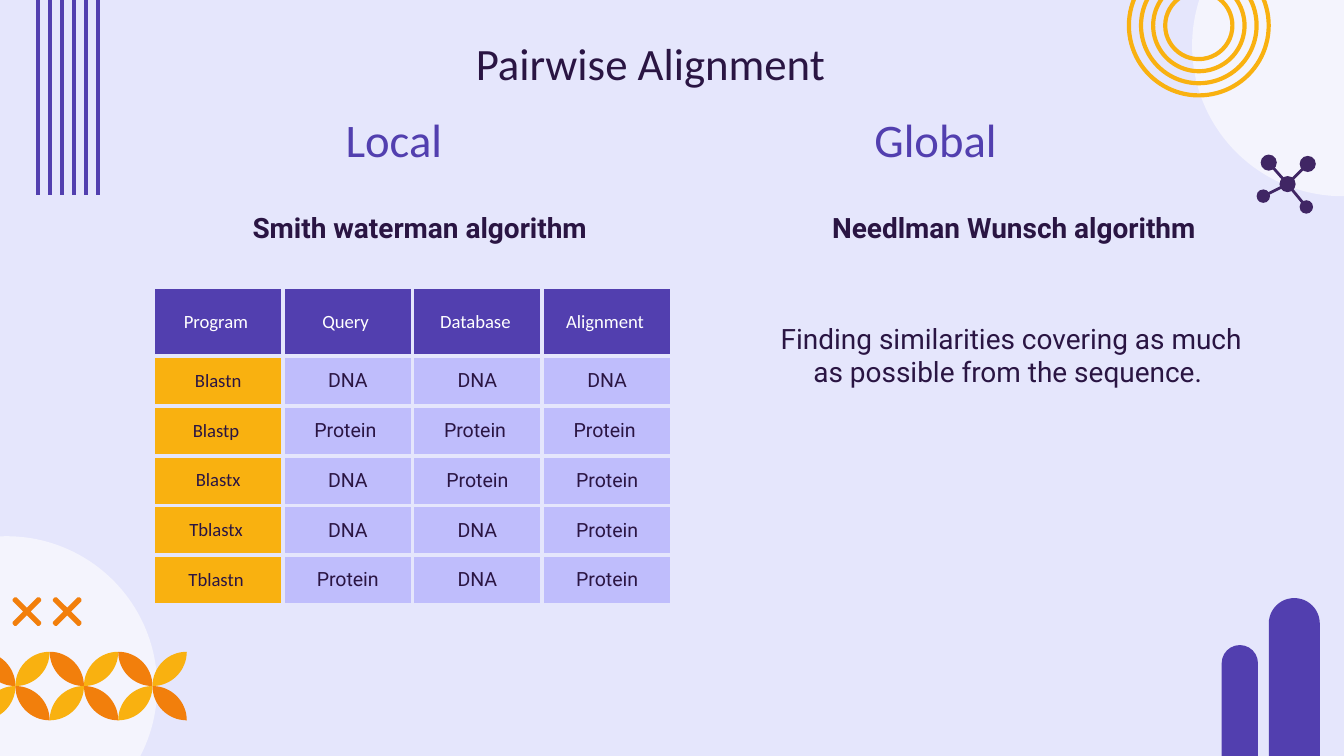
import math
from dataclasses import dataclass

import lxml.etree
import pptx
import pptx.dml.color
import pptx.enum.shapes
import pptx.enum.text
import pptx.oxml.ns
import pptx.util

Inches = pptx.util.Inches
Pt = pptx.util.Pt
Kind = pptx.enum.shapes.MSO_SHAPE
Align = pptx.enum.text.PP_ALIGN
qn = pptx.oxml.ns.qn


@dataclass(frozen=True)
class Theme:
    back: str = "E5E6FC"
    pale: str = "F4F4FD"
    violet: str = "523FAF"
    lilac: str = "BFBDFC"
    gold: str = "F9B110"
    orange: str = "F27F0C"
    plum: str = "402664"
    ink: str = "2A1543"
    white: str = "FFFFFF"
    head_font: str = "Calibri"
    text_font: str = "Roboto"
    title: float = 24
    label: float = 25
    body: float = 15
    cell: float = 10.5
    head: float = 10
    stroke: float = 2.25


def color(code):
    return pptx.dml.color.RGBColor.from_string(code)


class Page:
    def __init__(self, deck, theme):
        self.theme = theme
        self.slide = deck.slides.add_slide(deck.slide_layouts.get_by_name("Comparison"))
        self.shapes = self.slide.shapes
        self.slide.background.fill.solid()
        self.slide.background.fill.fore_color.rgb = color(theme.back)

    def paint(self, shape, fill=None, line=None):
        shape.shadow.inherit = False
        if fill:
            shape.fill.solid()
            shape.fill.fore_color.rgb = color(fill)
        else:
            shape.fill.background()
        if line:
            shape.line.color.rgb = color(line)
            shape.line.width = Pt(self.theme.stroke)
        else:
            shape.line.fill.background()

    def disc(self, x, y, radius, fill=None, line=None):
        """Draw a circle around the centre x, y."""
        size = Inches(2 * radius)
        shape = self.shapes.add_shape(
            Kind.OVAL, Inches(x - radius), Inches(y - radius), size, size)
        self.paint(shape, fill, line)

    def bar(self, x, y, width, height, fill):
        """Draw an upright bar with a round top."""
        shape = self.shapes.add_shape(
            Kind.ROUND_2_SAME_RECTANGLE, Inches(x), Inches(y), Inches(width), Inches(height))
        shape.adjustments[0] = 0.5
        self.paint(shape, fill)

    def line(self, start, end, hue, width):
        ends = [Inches(value) for value in (*start, *end)]
        link = self.shapes.add_connector(pptx.enum.shapes.MSO_CONNECTOR.STRAIGHT, *ends)
        link.line.color.rgb = color(hue)
        link.line.width = Pt(width)
        lxml.etree.SubElement(link._element.spPr, qn("a:effectLst"))

    def outline(self, points, fill):
        dots = [(Inches(x), Inches(y)) for x, y in points]
        pen = self.shapes.build_freeform(*dots[0], scale=1.0)
        pen.add_line_segments(dots[1:], close=True)
        self.paint(pen.convert_to_shape(), fill)

    def leaf(self, x, y, size, rising, fill):
        """Draw the lens between two quarter arcs in a square."""
        turns = [math.pi / 2 * step / 16 for step in range(17)]
        arc = [(math.sin(turn), math.cos(turn)) for turn in turns]
        lens = arc + [(1 - u, 1 - v) for u, v in arc]
        points = [(x + size * u, y + size * (v if rising else 1 - v)) for u, v in lens]
        self.outline(points, fill)

    def cross(self, x, y, reach, half, fill):
        """Draw a diagonal cross; half is half the width of an arm."""
        arm = [(half, -half), (reach - half / 2, -half), (reach, -half / 2),
               (reach, half / 2), (reach - half / 2, half)]
        points = []
        for turn in range(4):
            angle = math.pi / 4 + turn * math.pi / 2
            cos, sin = math.cos(angle), math.sin(angle)
            points += [(x + u * cos - v * sin, y + u * sin + v * cos) for u, v in arm]
        self.outline(points, fill)

    def style(self, frame, font, size, hue, bold=False, align=Align.CENTER):
        for para in frame.paragraphs:
            para.alignment = align
            para.line_spacing = 1.0
            para.space_before = Pt(0)
            props = para._p.get_or_add_pPr()
            props.set("marL", "0")
            props.set("indent", "0")
            lxml.etree.SubElement(props, qn("a:buNone"))
            for run in para.runs:
                run.font.name = font
                run.font.size = Pt(size)
                run.font.bold = bold
                run.font.color.rgb = color(hue)

    def text(self, box, place, words, font, size, hue, **look):
        """Fill a box with words, or add a text box if there is none."""
        place = [Inches(value) for value in place]
        if box is None:
            box = self.shapes.add_textbox(*place)
        box.left, box.top, box.width, box.height = place
        frame = box.text_frame
        frame.text = words
        frame.word_wrap = True
        frame.auto_size = pptx.enum.text.MSO_AUTO_SIZE.NONE
        frame.vertical_anchor = pptx.enum.text.MSO_ANCHOR.MIDDLE
        frame.margin_left = frame.margin_right = Inches(0.1)
        frame.margin_top = frame.margin_bottom = Inches(0.1)
        self.style(frame, font, size, hue, **look)

    def edge(self, cell):
        """Give a cell a border on all four sides."""
        for side in ("a:lnL", "a:lnR", "a:lnT", "a:lnB"):
            props = cell._tc.get_or_add_tcPr()
            rule = lxml.etree.SubElement(props, qn(side), w=str(Pt(self.theme.stroke)))
            fill = lxml.etree.SubElement(rule, qn("a:solidFill"))
            lxml.etree.SubElement(fill, qn("a:srgbClr"), val=self.theme.back)

    def table(self, rows, place, heights):
        t = self.theme
        place = [Inches(value) for value in place]
        grid = self.shapes.add_table(len(rows), len(rows[0]), *place).table
        grid.horz_banding = False
        for r, row in enumerate(rows):
            grid.rows[r].height = Inches(heights[r])
            for c, words in enumerate(row):
                if r == 0:
                    fill, look = t.violet, (t.head_font, t.head, t.white)
                elif c == 0:
                    fill, look = t.gold, (t.head_font, t.head, t.ink)
                else:
                    fill, look = t.lilac, (t.text_font, t.cell, t.ink)
                cell = grid.cell(r, c)
                self.edge(cell)
                cell.fill.solid()
                cell.fill.fore_color.rgb = color(fill)
                cell.vertical_anchor = pptx.enum.text.MSO_ANCHOR.MIDDLE
                cell.margin_left = cell.margin_right = Inches(0.1)
                cell.margin_top = cell.margin_bottom = Inches(0.1)
                cell.text_frame.text = words
                self.style(cell.text_frame, *look)


def adorn(page):
    """Draw the shapes around the edges of the slide."""
    t = page.theme
    page.disc(0.05, 5.11, 1.12, t.pale)
    for col in range(6):
        for row in range(2):
            rising = (col + row) % 2 == 1
            page.leaf(-0.14 + 0.255 * col, 4.85 + 0.255 * row, 0.255, rising,
                      t.gold if rising else t.orange)
    for x in (0.2, 0.5):
        page.cross(x, 4.55, 0.14, 0.02, t.orange)
    for step in range(6):
        x = 0.28 + 0.09 * step
        page.line((x, 0), (x, 1.45), t.violet, t.stroke)
    page.bar(9.09, 4.8, 0.27, 0.86, t.violet)
    page.bar(9.44, 4.45, 0.38, 1.21, t.violet)
    page.disc(9.99, 0.34, 1.12, t.pale)
    for step in range(4):
        page.disc(8.92, 0.19, 0.52 - 0.09 * step, line=t.gold)
    hub = (9.58, 1.37)
    page.disc(*hub, 0.06, t.plum)
    for x, y, radius in ((9.44, 1.21, 0.06), (9.73, 1.22, 0.06),
                         (9.4, 1.46, 0.05), (9.72, 1.54, 0.05)):
        page.line(hub, (x, y), t.plum, 1.5)
        page.disc(x, y, radius, t.plum)


def main():
    deck = pptx.Presentation()
    deck.slide_width = Inches(10)
    deck.slide_height = deck.slide_width * 9 // 16
    t = Theme()
    page = Page(deck, t)
    adorn(page)

    slots = page.slide.placeholders
    page.text(page.shapes.title, (3.44, 0.03, 3.46, 0.87), "Pairwise Alignment",
              t.head_font, t.title, t.ink, align=Align.LEFT)
    label = (t.head_font, t.label, t.violet)
    body = (t.text_font, t.body, t.ink)
    page.text(slots[1], (1.34, 0.82, 3.18, 0.43), "Local", *label)
    page.text(slots[3], (5.41, 0.82, 3.18, 0.43), "Global ", *label)
    page.text(slots[2], (1.66, 1.31, 2.98, 0.77), "Smith waterman algorithm ", *body, bold=True)
    page.text(slots[4], (5.74, 1.31, 3.66, 0.77), "Needlman Wunsch algorithm ", *body, bold=True)
    page.table([
        ("Program ", "Query ", "Database ", "Alignment "),
        ("Blastn", "DNA", "DNA", "DNA"),
        ("Blastp ", "Protein ", "Protein ", "Protein "),
        ("Blastx", "DNA", "Protein", "Protein"),
        ("Tblastx ", "DNA", "DNA", "Protein"),
        ("Tblastn ", "Protein", "DNA", "Protein"),
    ], (1.14, 2.14, 3.86, 2.31), [0.51] + [0.36] * 5)
    page.text(None, (5.65, 2.06, 3.75, 1.16),
              "Finding similarities covering as much as possible from the sequence. ", *body)
    deck.save("out.pptx")


if __name__ == "__main__":
    main()
